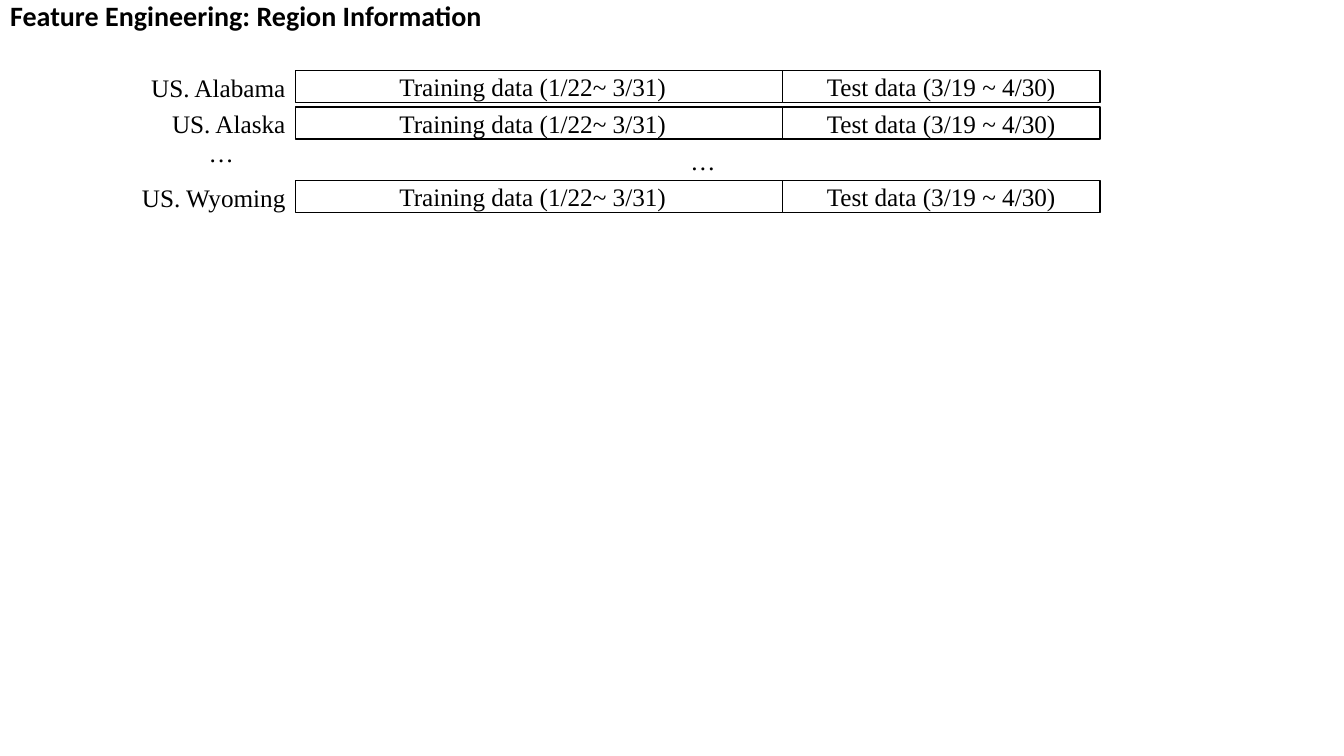
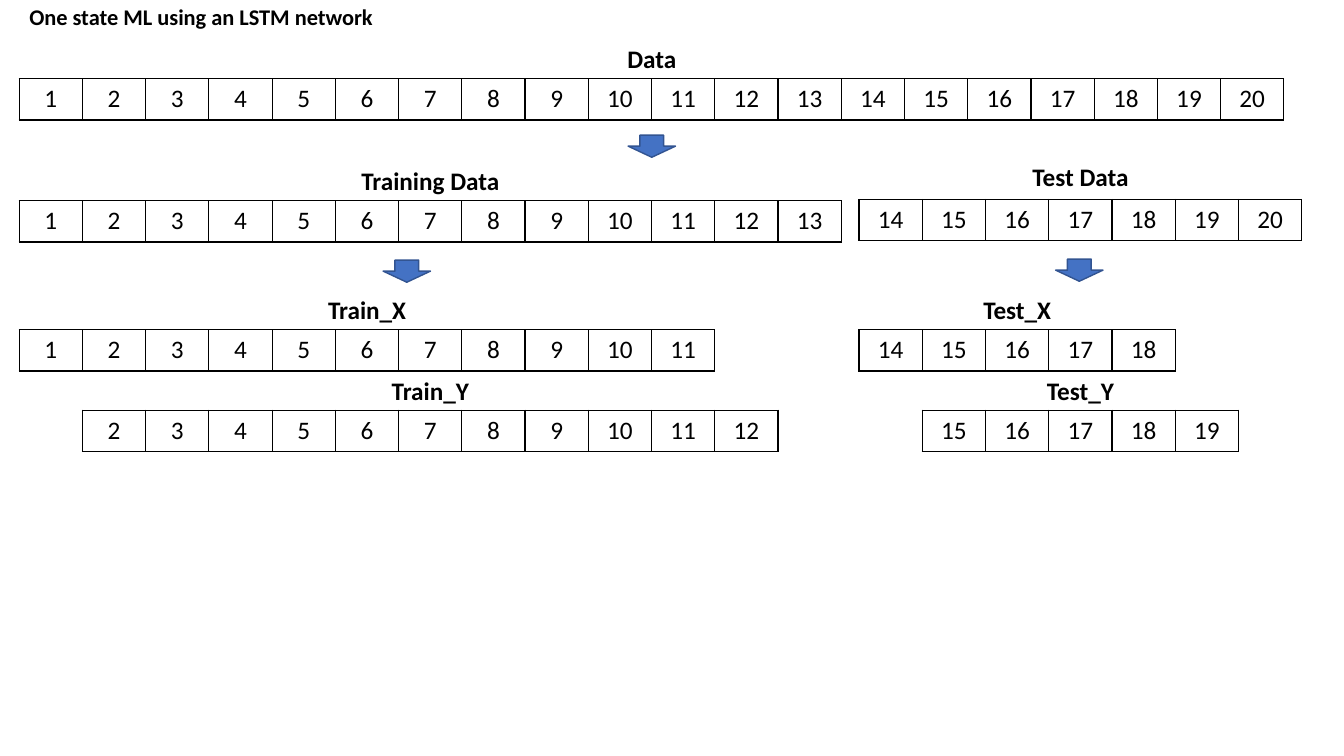
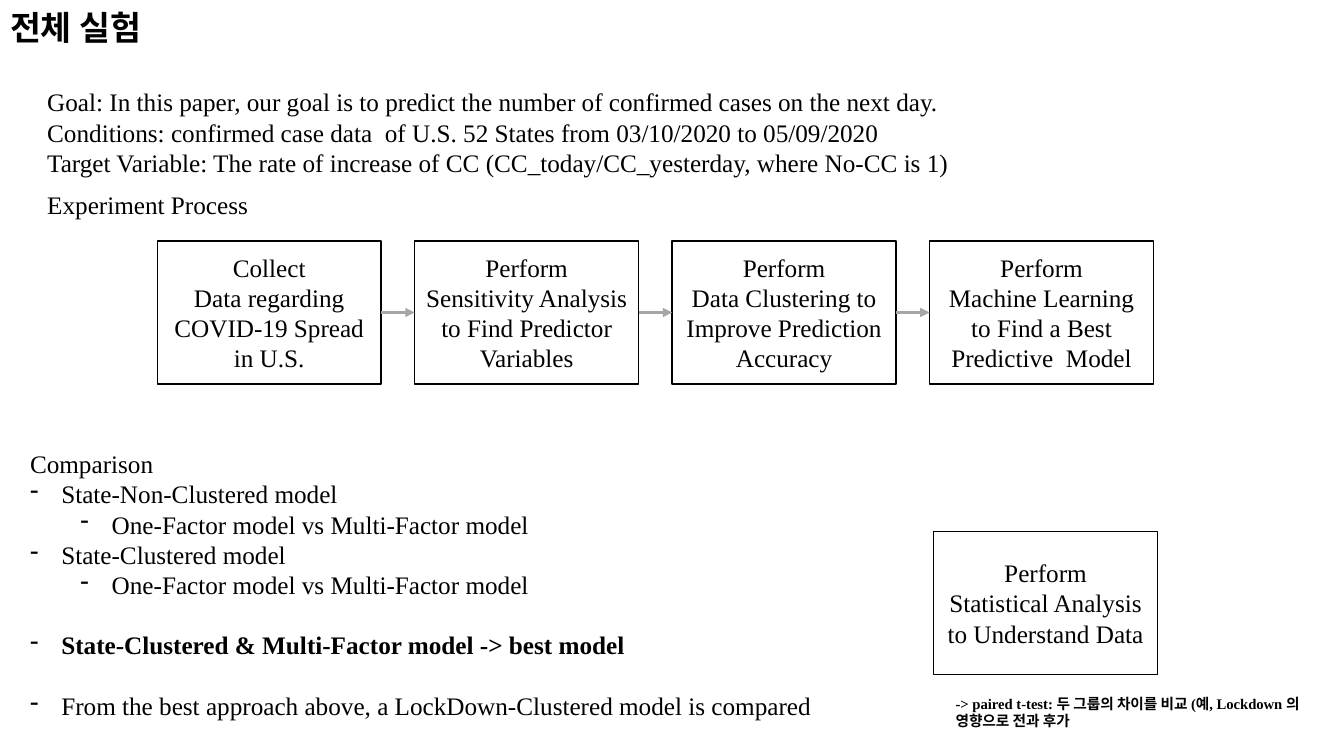
from dataclasses import dataclass
from typing import NamedTuple

from lxml import etree
from pptx import Presentation
from pptx.dml.color import RGBColor
from pptx.enum import shapes, text
from pptx.oxml import ns
from pptx.util import Inches, Pt


@dataclass(frozen=True)
class Theme:
    ink: RGBColor = RGBColor(0x00, 0x00, 0x00)
    paper: RGBColor = RGBColor(0xFF, 0xFF, 0xFF)
    accent: RGBColor = RGBColor(0x44, 0x72, 0xC4)
    accent_edge: RGBColor = RGBColor(0x32, 0x54, 0x91)
    flow: RGBColor = RGBColor(0xA6, 0xA6, 0xA6)
    sans: str = "Calibri"
    serif: str = "Times New Roman"
    body: float = 18
    note: float = 10.5
    edge: float = 1
    flow_width: float = 2.25


class Box(NamedTuple):
    x: float
    y: float
    w: float
    h: float

    def emu(self):
        return [Inches(v) for v in self]


THEME = Theme()
LEFT, CENTER, RIGHT = (
    text.PP_ALIGN.LEFT, text.PP_ALIGN.CENTER, text.PP_ALIGN.RIGHT)
LABEL_H = 0.4
ROW_H = 0.41
COLUMN_W = 12.55 / 20


def style(p, font=THEME.serif, size=THEME.body, bold=False, align=LEFT):
    p.alignment = align
    p.font.name = font
    p.font.size = Pt(size)
    p.font.bold = bold
    p.font.color.rgb = THEME.ink


def write(tf, lines, **look):
    tf.word_wrap = True
    for i, line in enumerate(lines):
        p = tf.paragraphs[0] if i == 0 else tf.add_paragraph()
        p.text = line
        style(p, **look)


def add_titled_slide(prs, title, box, size):
    s = prs.slides.add_slide(prs.slide_layouts.get_by_name("Title Only"))
    sp = s.shapes.title
    sp.left, sp.top, sp.width, sp.height = box.emu()
    tf = sp.text_frame
    write(tf, [title], font=THEME.sans, size=size, bold=True)
    tf.auto_size = text.MSO_AUTO_SIZE.NONE
    tf.vertical_anchor = text.MSO_ANCHOR.MIDDLE
    tf.paragraphs[0].line_spacing = 0.9
    return s


def add_text(s, box, *lines, **look):
    tf = s.shapes.add_textbox(*box.emu()).text_frame
    write(tf, lines, **look)
    return tf


def add_preset(s, kind, box, fill, edge):
    sp = s.shapes.add_shape(kind, *box.emu())
    sp.shadow.inherit = False
    sp.fill.solid()
    sp.fill.fore_color.rgb = fill
    sp.line.color.rgb = edge
    sp.line.width = Pt(THEME.edge)
    return sp


def add_panel(s, box, *lines):
    sp = add_preset(s, shapes.MSO_SHAPE.RECTANGLE, box, THEME.paper, THEME.ink)
    tf = sp.text_frame
    write(tf, lines, align=CENTER)
    tf.vertical_anchor = text.MSO_ANCHOR.MIDDLE
    return tf


def add_down_arrow(s, x, y):
    add_preset(s, shapes.MSO_SHAPE.DOWN_ARROW, Box(x, y, 0.47, 0.22),
               THEME.accent, THEME.accent_edge)


def add_flow_arrow(s, x1, x2, y):
    line = s.shapes.add_connector(
        shapes.MSO_CONNECTOR.STRAIGHT,
        Inches(x1), Inches(y), Inches(x2), Inches(y))
    line.line.color.rgb = THEME.flow
    line.line.width = Pt(THEME.flow_width)
    ln = line.line._get_or_add_ln()
    etree.SubElement(ln, ns.qn("a:tailEnd"), type="triangle")
    etree.SubElement(ln.getparent(), ns.qn("a:effectLst"))


def add_borders(cell):
    tc_pr = cell._tc.get_or_add_tcPr()
    for side in ("a:lnL", "a:lnR", "a:lnT", "a:lnB"):
        ln = etree.SubElement(tc_pr, ns.qn(side), w=str(Pt(THEME.edge)))
        fill = etree.SubElement(ln, ns.qn("a:solidFill"))
        etree.SubElement(fill, ns.qn("a:srgbClr"), val=str(THEME.ink))


def add_series(s, x, y, label, first, last, label_gap=LABEL_H):
    count = last - first + 1
    box = Box(x, y, count * COLUMN_W, ROW_H)
    add_text(s, Box(x, y - label_gap, box.w, LABEL_H), label,
             font=THEME.sans, bold=True, align=CENTER)
    table = s.shapes.add_table(1, count, *box.emu()).table
    table.first_row = table.horz_banding = False
    for i in range(count):
        table.columns[i].width = Inches(COLUMN_W)
        cell = table.cell(0, i)
        add_borders(cell)
        cell.fill.solid()
        cell.fill.fore_color.rgb = THEME.paper
        p = cell.text_frame.paragraphs[0]
        p.text = str(first + i)
        style(p, font=THEME.sans, align=CENTER)


def add_region_row(s, box, region):
    label_w, train_w = 1.73, 4.83
    add_text(s, Box(box.x, box.y - 0.03, label_w, LABEL_H), region, align=RIGHT)
    train_x = box.x + label_w
    test_x = train_x + train_w
    add_panel(s, Box(test_x, box.y, box.x + box.w - test_x, box.h),
              "Test data (3/19 ~ 4/30)")
    tf = add_panel(s, Box(train_x, box.y, train_w, box.h),
                   "Training data (1/22~ 3/31)")
    tf.margin_right = Inches(0.22)


def add_process(s, box, steps):
    step_w = 2.22
    pitch = (box.w - step_w) / (len(steps) - 1)
    for i, step in enumerate(steps):
        x = box.x + i * pitch
        add_panel(s, Box(x, box.y, step_w, box.h), *step)
        if i:
            add_flow_arrow(s, x - pitch + step_w, x, box.y + box.h / 2)


def add_comparison(s, box, heading, items):
    tf = add_text(s, box, heading, *[item for item, _, _ in items])
    for p, (_, level, gap) in zip(tf.paragraphs[1:], items):
        p.level = level
        p_pr = p._p.get_or_add_pPr()
        p_pr.set("marL", str(Inches(0.31 + 0.5 * level)))
        p_pr.set("indent", str(Inches(-0.31)))
        p_pr.insert_element_before(
            p_pr.makeelement(ns.qn("a:buChar"), {"char": "-"}),
            "a:tabLst", "a:defRPr", "a:extLst")
        p.space_before = Pt(gap)
    return tf


def region_slide(prs):
    s = add_titled_slide(prs, "Feature Engineering: Region Information",
                         Box(0, 0, 13.33, 0.35), 20)
    for y, region in ((0.7, "US. Alabama"), (1.06, "US. Alaska"),
                      (1.79, "US. Wyoming")):
        add_region_row(s, Box(1.2, y, 9.71, 0.32), region)
    for x, y in ((6.75, 1.39), (1.97, 1.31)):
        add_text(s, Box(x, y, 0.45, LABEL_H), "…")


def network_slide(prs):
    s = add_titled_slide(prs, "One state ML using an LSTM network",
                         Box(0.19, 0, 4.39, 0.37), 16)
    left, right = 0.19, 8.52
    add_series(s, left, 0.78, "Data", 1, 20)
    add_series(s, left, 1.99, "Training Data", 1, 13)
    add_series(s, right, 1.98, "Test Data", 14, 20, label_gap=0.43)
    for x, name, first, last in ((left, "Train", 1, 11), (right, "Test", 14, 18)):
        add_series(s, x, 3.27, f"{name}_X", first, last)
        add_series(s, x + COLUMN_W, 4.07, f"{name}_Y", first + 1, last + 1)
    for x, y in ((6.23, 1.34), (3.8, 2.58), (10.47, 2.57)):
        add_down_arrow(s, x, y)


def experiment_slide(prs):
    s = add_titled_slide(prs, "전체 실험", Box(0, 0, 13.33, 0.58), 24)
    add_text(
        s, Box(0.37, 0.81, 12.74, 1.01),
        "Goal: In this paper, our goal is to predict the number of confirmed "
        "cases on the next day.",
        "Conditions: confirmed case data  of U.S. 52 States from 03/10/2020 "
        "to 05/09/2020",
        "Target Variable: The rate of increase of CC "
        "(CC_today/CC_yesterday, where No-CC is 1)")
    add_text(s, Box(0.37, 1.83, 2.22, LABEL_H), "Experiment Process")
    add_process(s, Box(1.56, 2.39, 9.88, 1.42), (
        ("Collect", "Data regarding COVID-19 Spread in U.S."),
        ("Perform", "Sensitivity Analysis to Find Predictor Variables"),
        ("Perform", "Data Clustering to Improve Prediction Accuracy"),
        ("Perform", "Machine Learning to Find a Best Predictive  Model")))
    factors = "One-Factor model vs Multi-Factor model"
    tf = add_comparison(s, Box(0.2, 4.4, 8.2, 2.83), "Comparison", (
        ("State-Non-Clustered model", 0, 0),
        (factors, 1, 0),
        ("State-Clustered model", 0, 0),
        (factors, 1, 0),
        ("State-Clustered & Multi-Factor model -> best model", 0, 21.5),
        ("From the best approach above, a LockDown-Clustered model is compared",
         0, 21.5)))
    tf.paragraphs[5].font.bold = True
    add_panel(s, Box(9.26, 5.27, 2.22, 1.42),
              "Perform", "Statistical Analysis to Understand Data")
    add_text(s, Box(9.38, 6.84, 3.82, 0.47),
             "-> paired t-test: 두 그룹의 차이를 비교 (예, Lockdown 의 "
             "영향으로 전과 후가", size=THEME.note, bold=True)


def main():
    prs = Presentation()
    prs.slide_width, prs.slide_height = Inches(13.33), Inches(7.5)
    region_slide(prs)
    network_slide(prs)
    experiment_slide(prs)
    prs.save("out.pptx")


if __name__ == "__main__":
    main()
